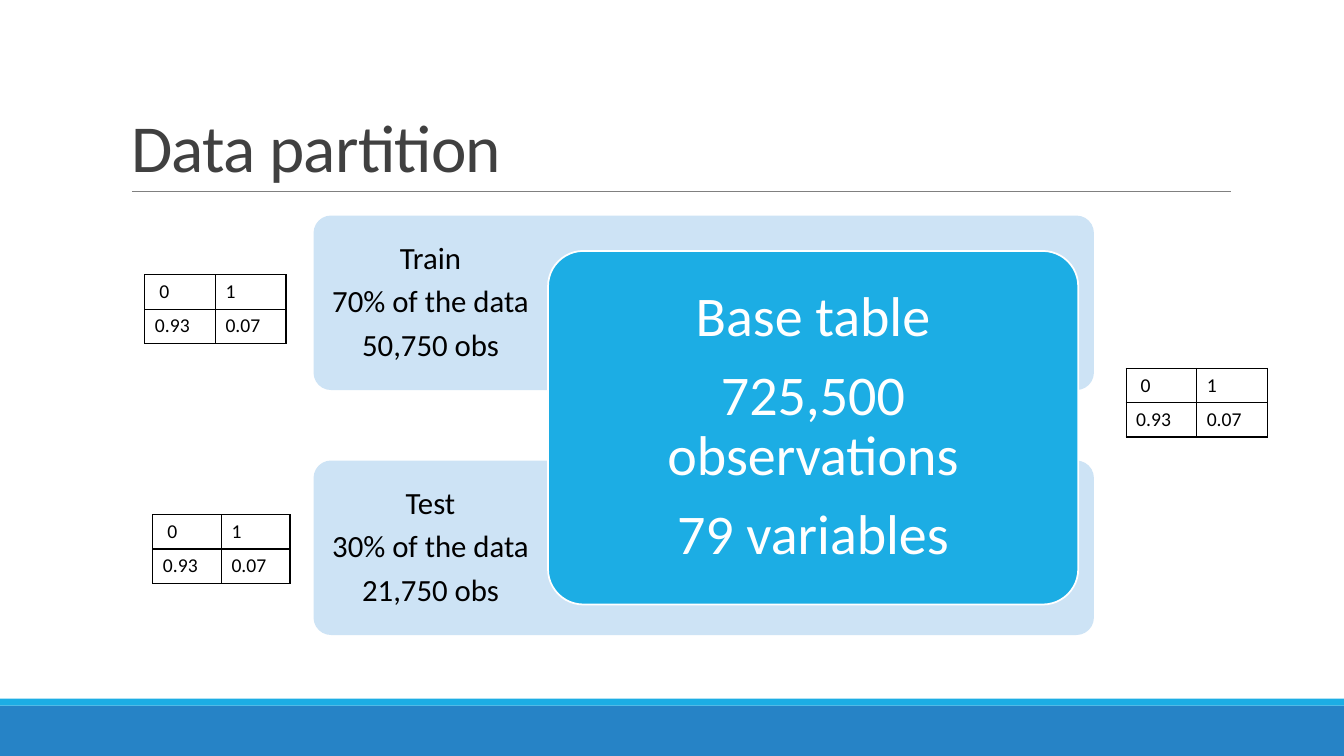
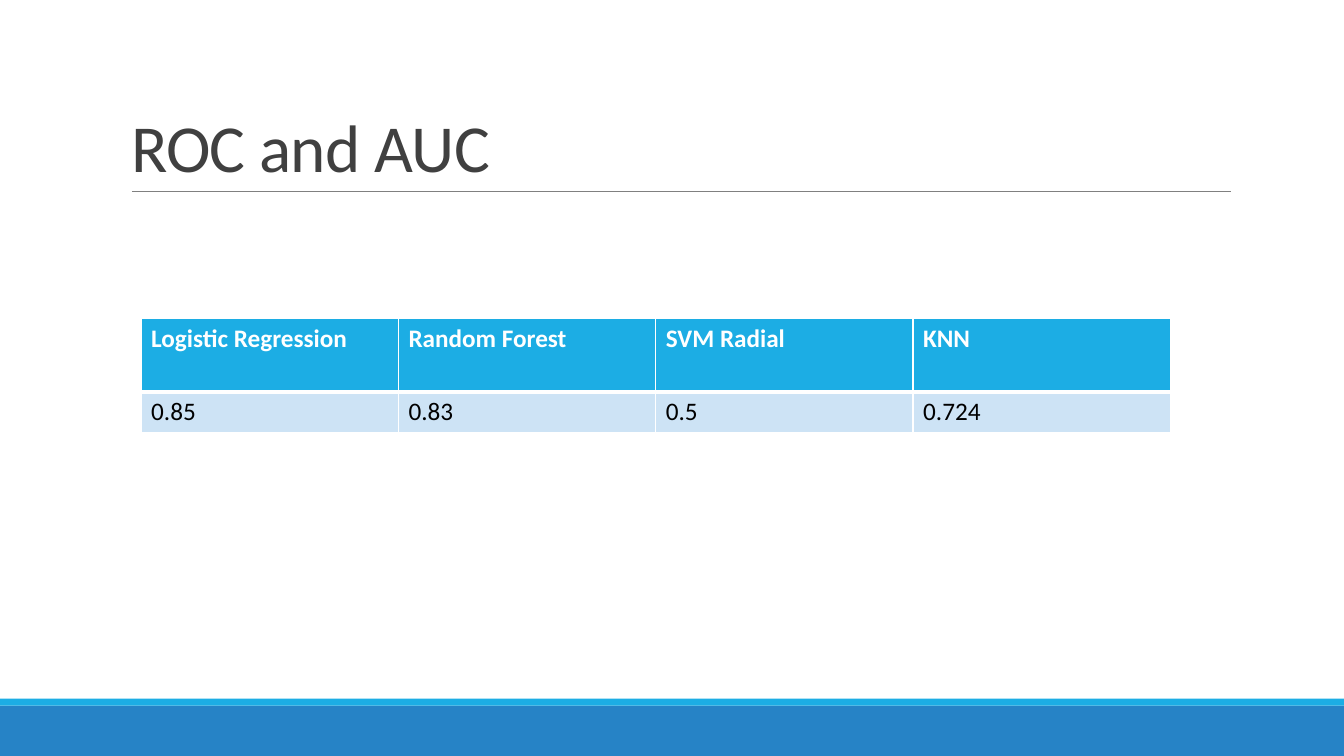
"""Builds two slides on data partition and model AUC."""
from pptx import Presentation
from pptx.dml.color import RGBColor
from pptx.enum.shapes import MSO_CONNECTOR, MSO_SHAPE
from pptx.enum.text import MSO_ANCHOR, PP_ALIGN
from pptx.oxml.ns import qn
from pptx.util import Pt
from lxml.etree import SubElement

FONT = "Calibri"
BLUE = RGBColor(0x26, 0x83, 0xC6)
CYAN = RGBColor(0x1C, 0xAD, 0xE4)
PALE = RGBColor(0xCD, 0xE3, 0xF5)
WHITE = RGBColor(0xFF, 0xFF, 0xFF)
BLACK = RGBColor(0, 0, 0)
GREY = RGBColor(0x80, 0x80, 0x80)
DARK = RGBColor(0x40, 0x40, 0x40)
WIDTH, HEIGHT = 960, 540
BAND_TOP = 504
SIDES = ("L", "R", "T", "B")


def add_run(p, text, size, color, bold=False):
    """Add one formatted run to a paragraph."""
    r = p.add_run()
    r.text = text
    r.font.name = FONT
    r.font.size = Pt(size)
    r.font.color.rgb = color
    r.font.bold = bold
    return r


def add_box(s, kind, box, fill, line=None):
    """Add a filled preset shape, outlined only when a line colour is given."""
    sp = s.shapes.add_shape(kind, *map(Pt, box))
    sp.shadow.inherit = False
    sp.fill.solid()
    sp.fill.fore_color.rgb = fill
    if line is None:
        sp.line.fill.background()
    else:
        sp.line.color.rgb = line
        sp.line.width = Pt(1.25)
    return sp


def add_card(s, box, fill, line=None):
    """Add a rounded rectangle with the common corner radius."""
    sp = add_box(s, MSO_SHAPE.ROUNDED_RECTANGLE, box, fill, line)
    sp.adjustments[0] = 0.1


def add_lines(s, box, lines, size, color):
    """Add a centred text box with one paragraph per line."""
    tf = s.shapes.add_textbox(*map(Pt, box)).text_frame
    tf.word_wrap = True
    tf.vertical_anchor = MSO_ANCHOR.MIDDLE
    tf.margin_left = tf.margin_right = tf.margin_top = tf.margin_bottom = Pt(12)
    for i, text in enumerate(lines):
        p = tf.add_paragraph() if i else tf.paragraphs[0]
        p.alignment = PP_ALIGN.CENTER
        p.line_spacing = 0.9
        p.space_after = Pt(round(size * 0.33, 1))
        add_run(p, text, size, color)


def set_borders(cell, color, widths):
    """Draw the left, right, top and bottom cell borders in points."""
    props = cell._tc.get_or_add_tcPr()
    for i, (side, width) in enumerate(zip(SIDES, widths)):
        ln = SubElement(props, qn(f"a:ln{side}"), w=str(Pt(width)))
        props.insert(i, ln)
        fill = SubElement(ln, qn("a:solidFill"))
        SubElement(fill, qn("a:srgbClr"), val=str(color))


def add_grid(s, left, top, col_width, row_heights, rows):
    """Add an unstyled table and return it with its (row, cell, text) items."""
    frame = s.shapes.add_table(len(rows), len(rows[0]), Pt(left), Pt(top),
                               Pt(col_width * len(rows[0])), Pt(sum(row_heights)))
    table = frame.table
    table.first_row = table.horz_banding = False
    for col in table.columns:
        col.width = Pt(col_width)
    for row, height in zip(table.rows, row_heights):
        row.height = Pt(height)
    return [(i, table.cell(i, j), text)
            for i, row in enumerate(rows) for j, text in enumerate(row)]


def add_share_table(s, left, top, col_width):
    """Add the small outlined table of class shares."""
    rows = [(" 0", "1"), ("0.93", "0.07")]
    for _, cell, text in add_grid(s, left, top, col_width, (24.5, 24.5), rows):
        cell.fill.background()
        set_borders(cell, BLACK, (1, 1, 1, 1))
        add_run(cell.text_frame.paragraphs[0], text, 14, BLACK)


def add_score_table(s, left, top, scores):
    """Add the table of models and their scores."""
    rows = [tuple(scores), tuple(scores.values())]
    for i, cell, text in add_grid(s, left, top, 183.8, (52.4, 29.2), rows):
        header = i == 0
        cell.fill.solid()
        cell.fill.fore_color.rgb = CYAN if header else PALE
        set_borders(cell, WHITE, (1, 1, 1, 3) if header else (1, 1, 3, 1))
        add_run(cell.text_frame.paragraphs[0], text, 18,
                WHITE if header else BLACK, header)


def add_titled_slide(prs, title):
    """Add a slide with the shared bands, rule and title."""
    s = prs.slides.add_slide(prs.slide_layouts[5])
    add_box(s, MSO_SHAPE.RECTANGLE, (0, BAND_TOP, WIDTH, HEIGHT - BAND_TOP), BLUE)
    add_box(s, MSO_SHAPE.RECTANGLE, (0, BAND_TOP - 5, WIDTH, 5), CYAN)
    rule = s.shapes.add_connector(MSO_CONNECTOR.STRAIGHT,
                                  Pt(94.3), Pt(136.8), Pt(879), Pt(136.8))
    rule.line.color.rgb = GREY
    rule.line.width = Pt(0.5)
    SubElement(rule._element.spPr, qn("a:effectLst"))
    sp = s.shapes.title
    sp.left, sp.top, sp.width, sp.height = map(Pt, (86.4, 22.3, 792, 114.5))
    tf = sp.text_frame
    tf.word_wrap = True
    tf.vertical_anchor = MSO_ANCHOR.BOTTOM
    p = tf.paragraphs[0]
    p.alignment = PP_ALIGN.LEFT
    p.line_spacing = 0.85
    r = add_run(p, title, 48, DARK)
    r.font._element.set("spc", "-50")
    return s


def add_partition_slide(prs):
    """Add the slide that splits the base table into train and test."""
    s = add_titled_slide(prs, "Data partition")
    parts = [(329, ("Test", "30% of the data", "21,750 obs")),
             (154, ("Train", "70% of the data", "50,750 obs"))]
    for top, lines in parts:
        add_card(s, (224, top, 557.4, 124.6), PALE)
        add_lines(s, (224, top, 167, 124.6), lines, 22, BLACK)
    add_card(s, (391.5, 179.3, 378.7, 252.5), CYAN, WHITE)
    add_lines(s, (398.9, 186.5, 363.6, 237.6),
              ("Base table", "725,500 observations", "79 variables"), 40, WHITE)
    for left, top, col_width in ((103.5, 196.3, 50.4), (804.4, 263.2, 50.4),
                                 (109.2, 367.6, 49)):
        add_share_table(s, left, top, col_width)


def add_score_slide(prs):
    """Add the slide that compares the models."""
    s = add_titled_slide(prs, "ROC and AUC")
    add_score_table(s, 100.8, 227.5, {"Logistic Regression": "0.85",
                                      "Random Forest": "0.83",
                                      "SVM Radial": "0.5",
                                      "KNN": "0.724"})


def main():
    """Build and save the presentation."""
    prs = Presentation()
    prs.slide_width, prs.slide_height = Pt(WIDTH), Pt(HEIGHT)
    add_partition_slide(prs)
    add_score_slide(prs)
    prs.save("out.pptx")


if __name__ == "__main__":
    main()
